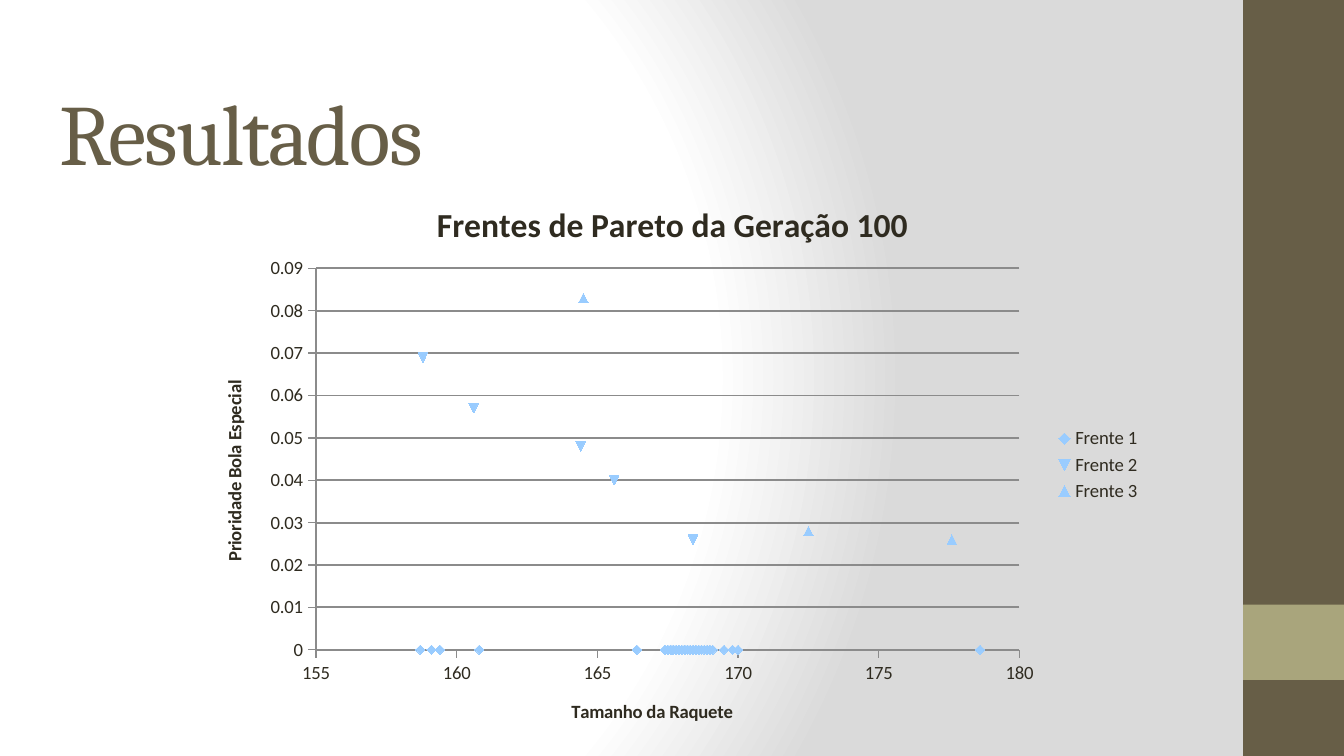
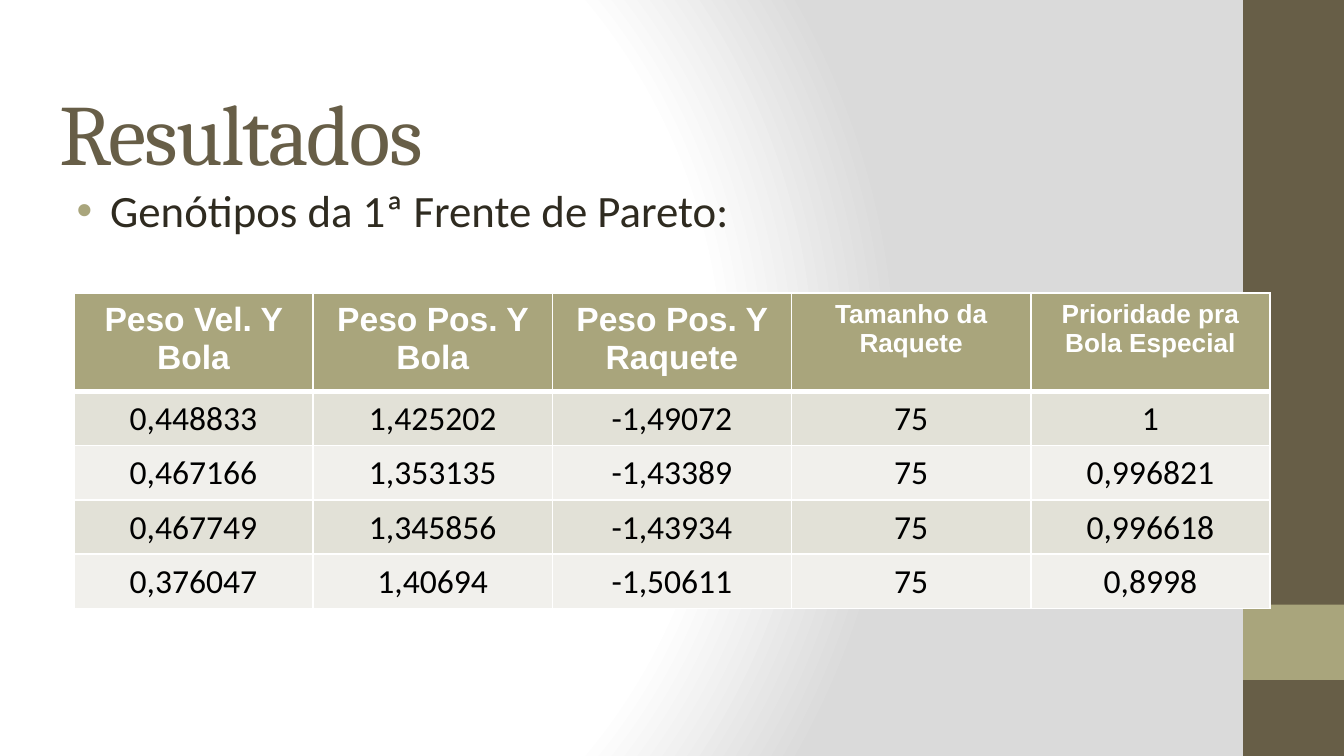
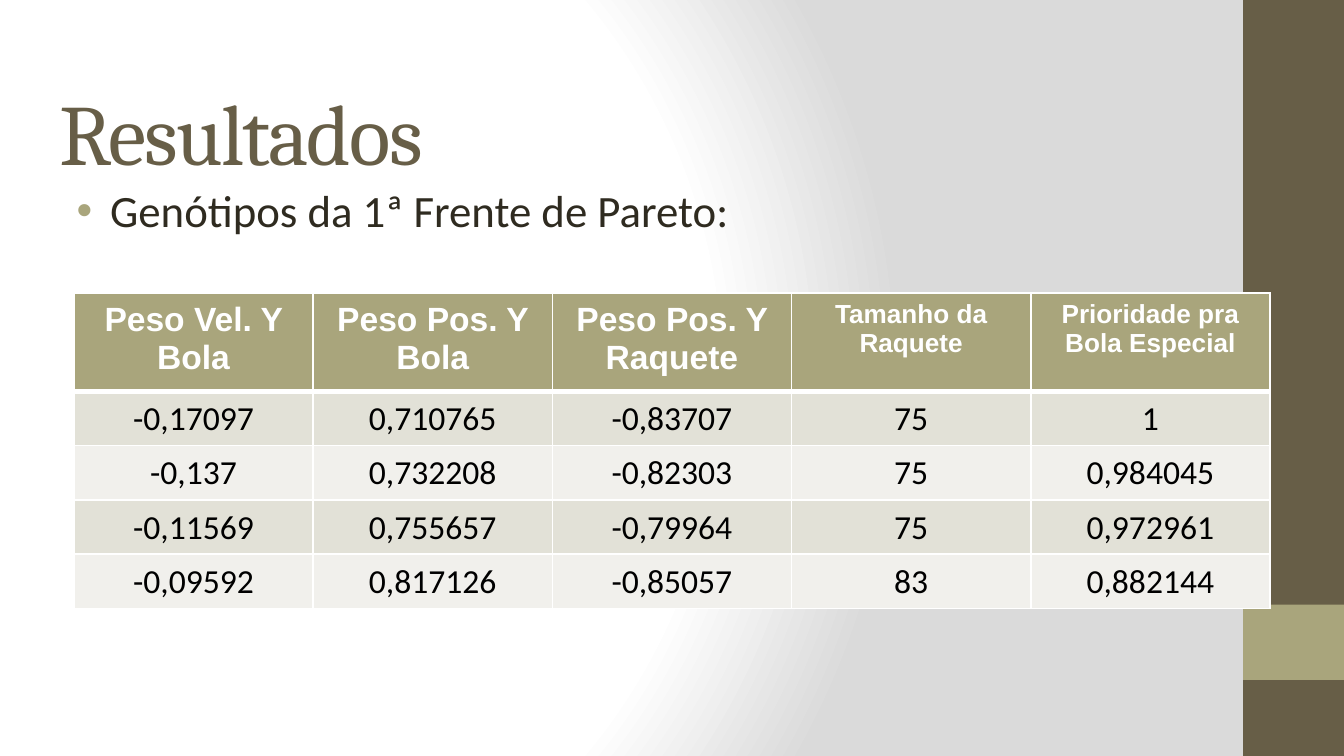
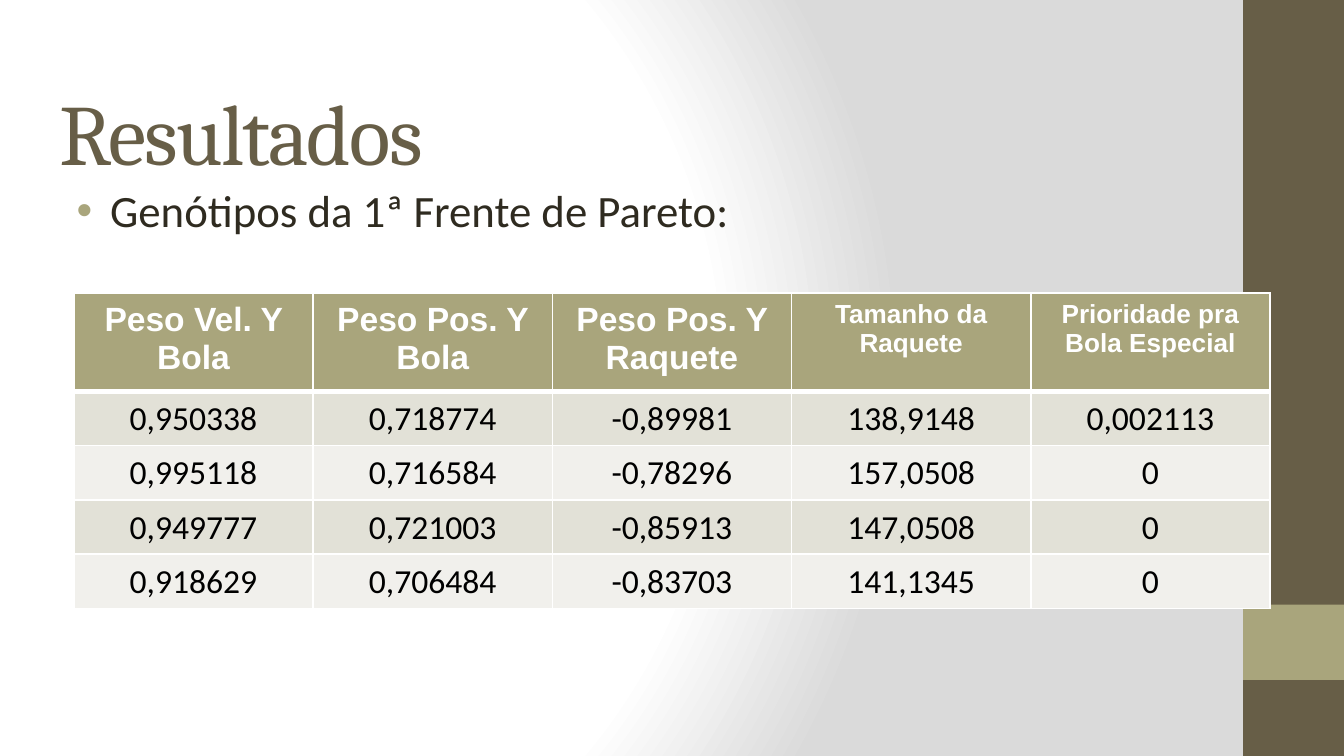
"""Build the four results slides: one Pareto scatter chart and three genotype tables."""
import lxml.etree
import pptx
import pptx.chart.data
import pptx.dml.color
import pptx.enum.chart
import pptx.enum.shapes
import pptx.enum.text
import pptx.oxml
import pptx.oxml.ns
import pptx.util

SCALE = 4572
WIDTH, HEIGHT = 2000, 1125
RGB = pptx.dml.color.RGBColor
BROWN = RGB(0x67, 0x5E, 0x47)
OLIVE = RGB(0xA9, 0xA5, 0x7C)
INK = RGB(0x2F, 0x2B, 0x20)
WHITE = RGB(0xFF, 0xFF, 0xFF)
BLACK = RGB(0x00, 0x00, 0x00)
SILVER = RGB(0xDA, 0xDA, 0xDA)
BAND_DARK = RGB(0xE2, 0xE1, 0xD7)
BAND_LIGHT = RGB(0xF1, 0xF0, 0xEC)
MARKER = RGB(0x99, 0xCC, 0xFF)
GRID = RGB(0x8B, 0x8B, 0x8B)

TITLE_FONT, BODY_FONT, HEADER_FONT = "Cambria", "Calibri", "Arial"
TITLE_LAYOUT, BODY_LAYOUT = 5, 1
ALIGN = pptx.enum.text.PP_ALIGN
ANCHOR = pptx.enum.text.MSO_ANCHOR
MARKERS = pptx.enum.chart.XL_MARKER_STYLE
qn = pptx.oxml.ns.qn

HEADERS = [
    ("Peso Vel. Y Bola", 18, (26, 12)),
    ("Peso Pos. Y Bola", 18, (26, 12)),
    ("Peso Pos. Y Raquete", 18, (26, 12)),
    ("Tamanho da Raquete", 14, (20, 10)),
    ("Prioridade pra Bola Especial", 14, (20, 10)),
]
GENOTYPES = [
    [
        ["0,448833", "1,425202", "-1,49072", "75", "1"],
        ["0,467166", "1,353135", "-1,43389", "75", "0,996821"],
        ["0,467749", "1,345856", "-1,43934", "75", "0,996618"],
        ["0,376047", "1,40694", "-1,50611", "75", "0,8998"],
    ],
    [
        ["-0,17097", "0,710765", "-0,83707", "75", "1"],
        ["-0,137", "0,732208", "-0,82303", "75", "0,984045"],
        ["-0,11569", "0,755657", "-0,79964", "75", "0,972961"],
        ["-0,09592", "0,817126", "-0,85057", "83", "0,882144"],
    ],
    [
        ["0,950338", "0,718774", "-0,89981", "138,9148", "0,002113"],
        ["0,995118", "0,716584", "-0,78296", "157,0508", "0"],
        ["0,949777", "0,721003", "-0,85913", "147,0508", "0"],
        ["0,918629", "0,706484", "-0,83703", "141,1345", "0"],
    ],
]
FRONT_ONE_SIZES = [
    178.6, 170.0, 169.5, 169.1, 169.8, 169.0, 168.9, 168.4, 168.3, 168.8, 168.2, 168.7, 168.1,
    168.4, 168.6, 168.5, 168.0, 168.7, 168.6, 168.5, 169.0, 168.2, 168.1, 167.9, 167.8, 167.4,
    167.7, 167.6, 167.8, 167.9, 168.0, 168.1, 168.2, 168.3, 167.5, 167.6, 167.7, 167.4, 167.8,
    167.9, 168.1, 168.2, 167.5, 167.6, 167.7, 167.5, 167.4, 166.4, 160.8, 159.4, 159.1, 158.7,
]
FRONTS = [
    ("Frente 1", MARKERS.DIAMOND, [(size, 0) for size in FRONT_ONE_SIZES]),
    ("Frente 2", MARKERS.AUTOMATIC,
     [(158.8, 0.069), (160.6, 0.057), (164.4, 0.048), (165.6, 0.04), (168.4, 0.026)]),
    ("Frente 3", MARKERS.TRIANGLE, [(164.5, 0.083), (172.5, 0.028), (177.6, 0.026)]),
]


def px(*lengths):
    """Turn px lengths into EMU."""
    return [pptx.util.Emu(length * SCALE) for length in lengths]


class Builder:
    """Holds the deck, its shared style and the current slide."""

    def __init__(self):
        """Start the deck and set the shared background."""
        self.deck = pptx.Presentation()
        self.deck.slide_width, self.deck.slide_height = px(WIDTH, HEIGHT)
        self.page = None
        self.background()

    def background(self):
        """Give the master a radial gradient."""
        stops = "".join(
            f'<a:gs pos="{position}"><a:srgbClr val="{color}"/></a:gs>'
            for position, color in [(0, WHITE), (75000, WHITE), (100000, SILVER)])
        tree = self.deck.slide_master.element.cSld
        for old in tree.findall(qn("p:bg")):
            tree.remove(old)
        tree.insert(0, pptx.oxml.parse_xml(
            f'<p:bg {pptx.oxml.ns.nsdecls("p", "a")}><p:bgPr><a:gradFill rotWithShape="1">'
            f'<a:gsLst>{stops}</a:gsLst><a:path path="circle">'
            '<a:fillToRect l="20000" t="50000" r="100000" b="50000"/></a:path></a:gradFill>'
            '<a:effectLst/></p:bgPr></p:bg>'))

    def master_band(self, order, top, height, color):
        """Draw a right-hand band and hand it to the master."""
        band = self.page.shapes.add_shape(
            pptx.enum.shapes.MSO_SHAPE.RECTANGLE, *px(1850, top, 150, height))
        band.shadow.inherit = False
        band.fill.solid()
        band.fill.fore_color.rgb = color
        band.line.fill.background()
        self.deck.slide_master.element.cSld.spTree.insert(2 + order, band.element)

    def new_page(self, layout):
        """Add a slide with the shared title."""
        self.page = self.deck.slides.add_slide(self.deck.slide_layouts[layout])
        para = self.placeholder(self.page.shapes.title, (68, 98, 1864, 126))
        para.alignment = ALIGN.LEFT
        span = self.add_text(para, "Resultados", 46, TITLE_FONT, BROWN)
        span._r.get_or_add_rPr().set("spc", "-100")

    def placeholder(self, box, place):
        """Move a placeholder and return its first paragraph."""
        box.left, box.top, box.width, box.height = px(*place)
        frame = box.text_frame
        frame.word_wrap = True
        frame.auto_size = pptx.enum.text.MSO_AUTO_SIZE.NONE
        frame.vertical_anchor = ANCHOR.TOP
        (frame.margin_left, frame.margin_top,
         frame.margin_right, frame.margin_bottom) = px(20, 20, 20, 20)
        para = frame.paragraphs[0]
        para.space_before = pptx.util.Pt(0)
        return para

    def add_text(self, para, text, size, font, color, bold=False):
        """Add one formatted run."""
        span = para.add_run()
        span.text = text
        span.font.size = pptx.util.Pt(size)
        span.font.name = font
        span.font.color.rgb = color
        span.font.bold = bold
        return span

    def bullet(self, text):
        """Fill the body placeholder with one bulleted line."""
        para = self.placeholder(self.page.placeholders[1], (68, 252, 1864, 748))
        para.alignment = ALIGN.JUSTIFY
        settings = para._p.get_or_add_pPr()
        margin, indent = px(76, -50)
        settings.set("marL", str(margin))
        settings.set("indent", str(indent))
        color = lxml.etree.SubElement(settings, qn("a:buClr"))
        lxml.etree.SubElement(color, qn("a:srgbClr"), val=str(OLIVE))
        lxml.etree.SubElement(settings, qn("a:buFont"), typeface="Arial")
        lxml.etree.SubElement(settings, qn("a:buChar"), char="•")
        self.add_text(para, text, 24, BODY_FONT, INK)

    def cell(self, cell, text, fill, margins, top, bottom, **style):
        """Fill, border and letter one table cell."""
        (cell.margin_left, cell.margin_top,
         cell.margin_right, cell.margin_bottom) = px(*margins)
        settings = cell._tc.get_or_add_tcPr()
        for side, points in [("L", 1), ("R", 1), ("T", top), ("B", bottom)]:
            line = lxml.etree.SubElement(
                settings, qn(f"a:ln{side}"), w=str(pptx.util.Pt(points)))
            solid = lxml.etree.SubElement(line, qn("a:solidFill"))
            lxml.etree.SubElement(solid, qn("a:srgbClr"), val=str(WHITE))
        cell.fill.solid()
        cell.fill.fore_color.rgb = fill
        para = cell.text_frame.paragraphs[0]
        para.alignment = ALIGN.CENTER
        self.add_text(para, text, **style)

    def table(self, rows):
        """Draw the genotype table."""
        table = self.page.shapes.add_table(
            len(rows) + 1, len(HEADERS), *px(110, 436, 1780, 470)).table
        table.first_row = table.horz_banding = False
        for column in table.columns:
            column.width = px(356)[0]
        for index, row in enumerate(table.rows):
            row.height = px(81 if index else 146)[0]
        for column, (text, size, (side, end)) in enumerate(HEADERS):
            self.cell(table.cell(0, column), text, OLIVE, (side, end, side, end), 1, 3,
                      size=size, font=HEADER_FONT, color=WHITE, bold=True)
        for index, values in enumerate(rows, 1):
            fill = BAND_DARK if index % 2 else BAND_LIGHT
            for column, text in enumerate(values):
                cell = table.cell(index, column)
                self.cell(cell, text, fill, (2, 2, 2, 0), 3 if index == 1 else 1, 1,
                          size=18, font=BODY_FONT, color=BLACK)
                cell.vertical_anchor = ANCHOR.MIDDLE

    def axis(self, axis, title, low, high, step):
        """Scale, title and colour one chart axis."""
        axis.minimum_scale, axis.maximum_scale, axis.major_unit = low, high, step
        axis.major_tick_mark = pptx.enum.chart.XL_TICK_MARK.OUTSIDE
        axis.minor_tick_mark = pptx.enum.chart.XL_TICK_MARK.NONE
        axis.has_major_gridlines = False
        axis.tick_labels.number_format = "General"
        axis.tick_labels.number_format_is_linked = False
        axis.format.line.color.rgb = GRID
        axis.format.line.width = pptx.util.Pt(0.75)
        para = axis.axis_title.text_frame.paragraphs[0]
        self.add_text(para, title, 10, BODY_FONT, INK, True)

    def scatter(self):
        """Draw the scatter chart of the Pareto fronts."""
        data = pptx.chart.data.XyChartData()
        for name, _, points in FRONTS:
            series = data.add_series(name)
            for size, priority in points:
                series.add_data_point(size, priority)
        chart = self.page.shapes.add_chart(
            pptx.enum.chart.XL_CHART_TYPE.XY_SCATTER, *px(284, 262, 1434, 860), data).chart
        chart.font.name = BODY_FONT
        chart.font.size = pptx.util.Pt(10)
        chart.font.color.rgb = INK
        chart.has_title = True
        self.add_text(chart.chart_title.text_frame.paragraphs[0],
                      "Frentes de Pareto da Geração 100", 18, BODY_FONT, INK, True)
        chart.has_legend = True
        chart.legend.position = pptx.enum.chart.XL_LEGEND_POSITION.RIGHT
        chart.legend.include_in_layout = False
        self.axis(chart.category_axis, "Tamanho da Raquete", 155, 180, 5)
        self.axis(chart.value_axis, "Prioridade Bola Especial", 0, 0.09, 0.01)
        grid = chart.value_axis.major_gridlines.format.line
        chart.value_axis.has_major_gridlines = True
        grid.color.rgb = GRID
        grid.width = pptx.util.Pt(1)
        plot = chart.plots[0]
        plot.vary_by_categories = False
        for series, (_, symbol, _) in zip(plot.series, FRONTS):
            series.format.line.fill.background()
            series.marker.style = symbol
            series.marker.size = 5
            series.marker.format.fill.solid()
            series.marker.format.fill.fore_color.rgb = MARKER
            series.marker.format.line.fill.background()
        self.plot_layout(chart, x=0.13, y=0.16, w=0.73, h=0.66)

    def plot_layout(self, chart, **fractions):
        """Fix the inner plot area inside the chart."""
        area = chart.element.find(".//" + qn("c:plotArea"))
        for old in area.findall(qn("c:layout")):
            area.remove(old)
        layout = lxml.etree.Element(qn("c:layout"))
        manual = lxml.etree.SubElement(layout, qn("c:manualLayout"))
        settings = [("layoutTarget", "inner"), ("xMode", "edge"), ("yMode", "edge")]
        for name, value in settings + list(fractions.items()):
            lxml.etree.SubElement(manual, qn(f"c:{name}"), val=str(value))
        area.insert(0, layout)


def main():
    """Build and save the deck."""
    builder = Builder()
    builder.new_page(TITLE_LAYOUT)
    builder.master_band(0, 0, HEIGHT, BROWN)
    builder.master_band(1, 900, 112, OLIVE)
    builder.scatter()
    for rows in GENOTYPES:
        builder.new_page(BODY_LAYOUT)
        builder.bullet("Genótipos da 1ª Frente de Pareto:")
        builder.table(rows)
    builder.deck.save("out.pptx")


if __name__ == "__main__":
    main()
